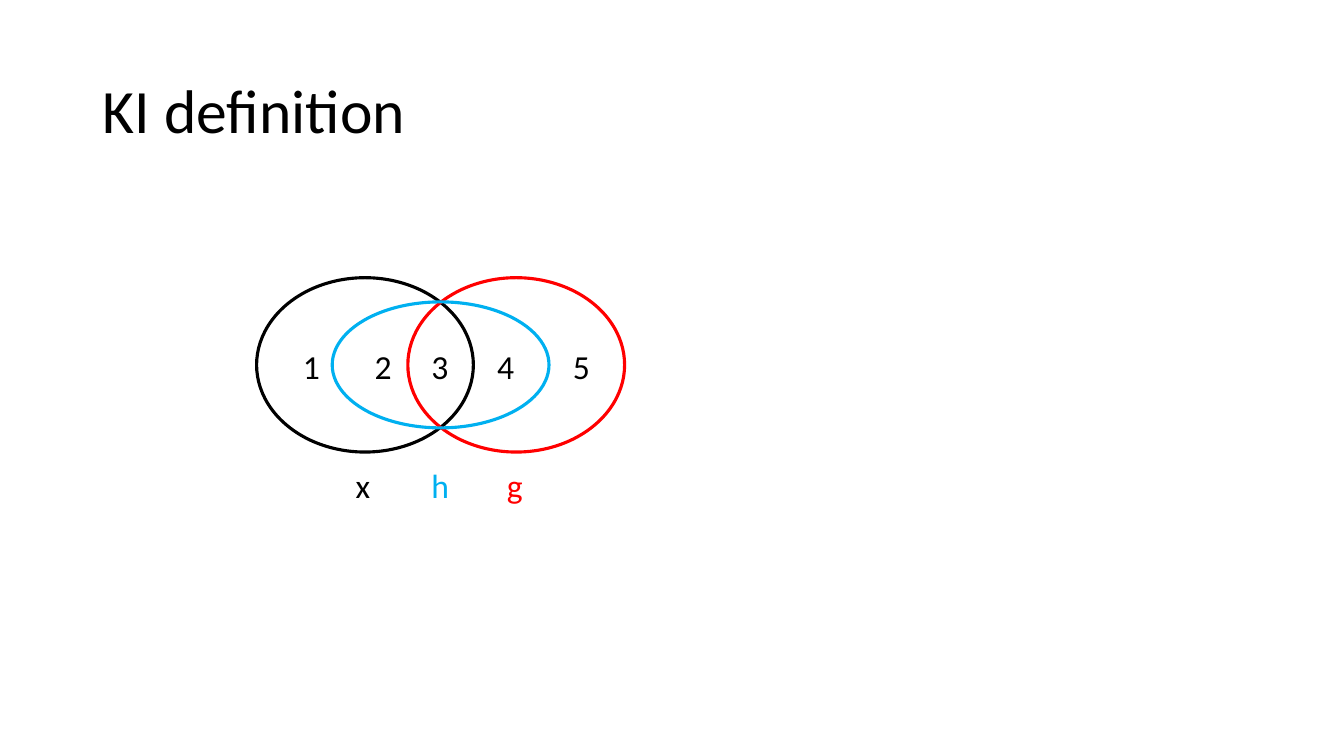
from pptx import Presentation
from pptx.dml.color import RGBColor
from pptx.enum.shapes import MSO_SHAPE
from pptx.enum.text import MSO_ANCHOR, MSO_AUTO_SIZE, PP_ALIGN
from pptx.util import Inches, Pt

SLIDE_WIDTH, SLIDE_HEIGHT = 13.33, 7.5
FONT = "Calibri"
BLACK, RED, BLUE = "000000", "FF0000", "00B0F0"

# Venn grid: one column per set centre
FIRST_CENTRE, COLUMN = 3.62, 0.75
MIDDLE = 3.62
SET_WIDTH = 2.15
LABEL_WIDTH, LABEL_HEIGHT = 0.38, 0.5
SET_LABEL_MIDDLE, REGION_MIDDLE = 4.81, 3.63

SETS = [("x", BLACK, 0, 1.73), ("g", RED, 2, 1.73), ("h", BLUE, 1, 1.25)]
REGIONS = [("1", -0.7), ("2", 0.25), ("3", 1), ("4", 1.87), ("5", 2.87)]


def colour(hex_string):
    """Turn a hex string into a colour."""
    return RGBColor.from_string(hex_string)


def column_centre(column):
    """Return the horizontal centre of a grid column in inches."""
    return FIRST_CENTRE + column * COLUMN


def centred_box(column, middle, width, height):
    """Return left, top, width and height of a box centred on a column."""
    left = column_centre(column) - width / 2
    return [Inches(v) for v in (left, middle - height / 2, width, height)]


def style_font(paragraph, size, hex_string):
    """Set the font, size and colour of a paragraph."""
    paragraph.font.name = FONT
    paragraph.font.size = Pt(size)
    paragraph.font.color.rgb = colour(hex_string)


def set_title(slide, text):
    """Place and format the title placeholder."""
    title = slide.shapes.title
    title.left, title.top = Inches(0.92), Inches(0.4)
    title.width, title.height = Inches(11.5), Inches(1.45)
    title.text_frame.text = text
    title.text_frame.vertical_anchor = MSO_ANCHOR.MIDDLE
    paragraph = title.text_frame.paragraphs[0]
    paragraph.alignment = PP_ALIGN.LEFT
    paragraph.line_spacing = 0.9
    style_font(paragraph, 44, BLACK)


def add_set(slide, column, height, hex_string):
    """Draw the outline of one set as an unfilled ellipse."""
    box = centred_box(column, MIDDLE, SET_WIDTH, height)
    ellipse = slide.shapes.add_shape(MSO_SHAPE.OVAL, *box)
    ellipse.shadow.inherit = False
    ellipse.fill.background()
    ellipse.line.color.rgb = colour(hex_string)
    ellipse.line.width = Pt(2.25)


def add_label(slide, text, column, middle, hex_string):
    """Write a one-character label centred on a column."""
    box = centred_box(column, middle, LABEL_WIDTH, LABEL_HEIGHT)
    frame = slide.shapes.add_textbox(*box).text_frame
    frame.word_wrap = True
    frame.auto_size = MSO_AUTO_SIZE.SHAPE_TO_FIT_TEXT
    frame.text = text
    style_font(frame.paragraphs[0], 24, hex_string)


def main():
    """Build the slide and save it."""
    presentation = Presentation()
    presentation.slide_width = Inches(SLIDE_WIDTH)
    presentation.slide_height = Inches(SLIDE_HEIGHT)
    slide = presentation.slides.add_slide(presentation.slide_layouts[5])
    set_title(slide, "KI definition")
    for _, hex_string, column, height in SETS:
        add_set(slide, column, height, hex_string)
    for name, hex_string, column, _ in SETS:
        add_label(slide, name, column, SET_LABEL_MIDDLE, hex_string)
    for number, column in REGIONS:
        add_label(slide, number, column, REGION_MIDDLE, BLACK)
    presentation.save("out.pptx")


main()
